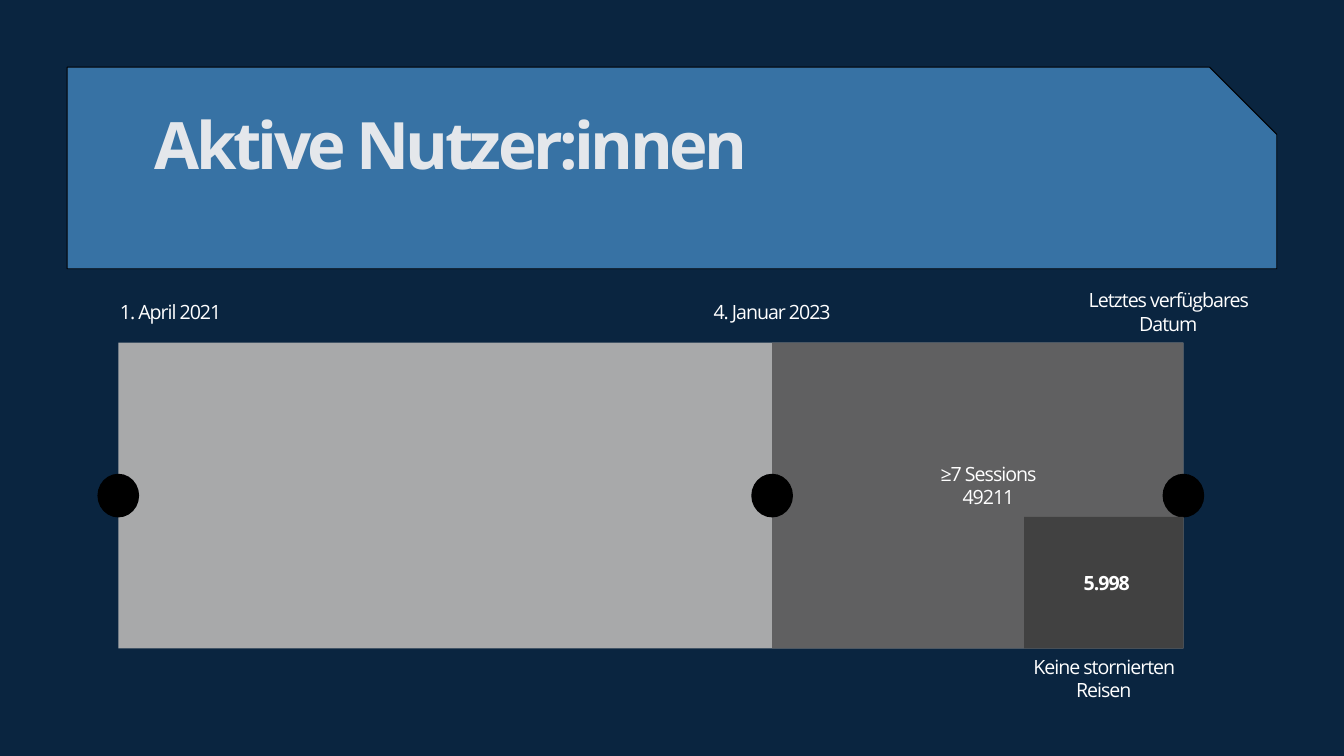
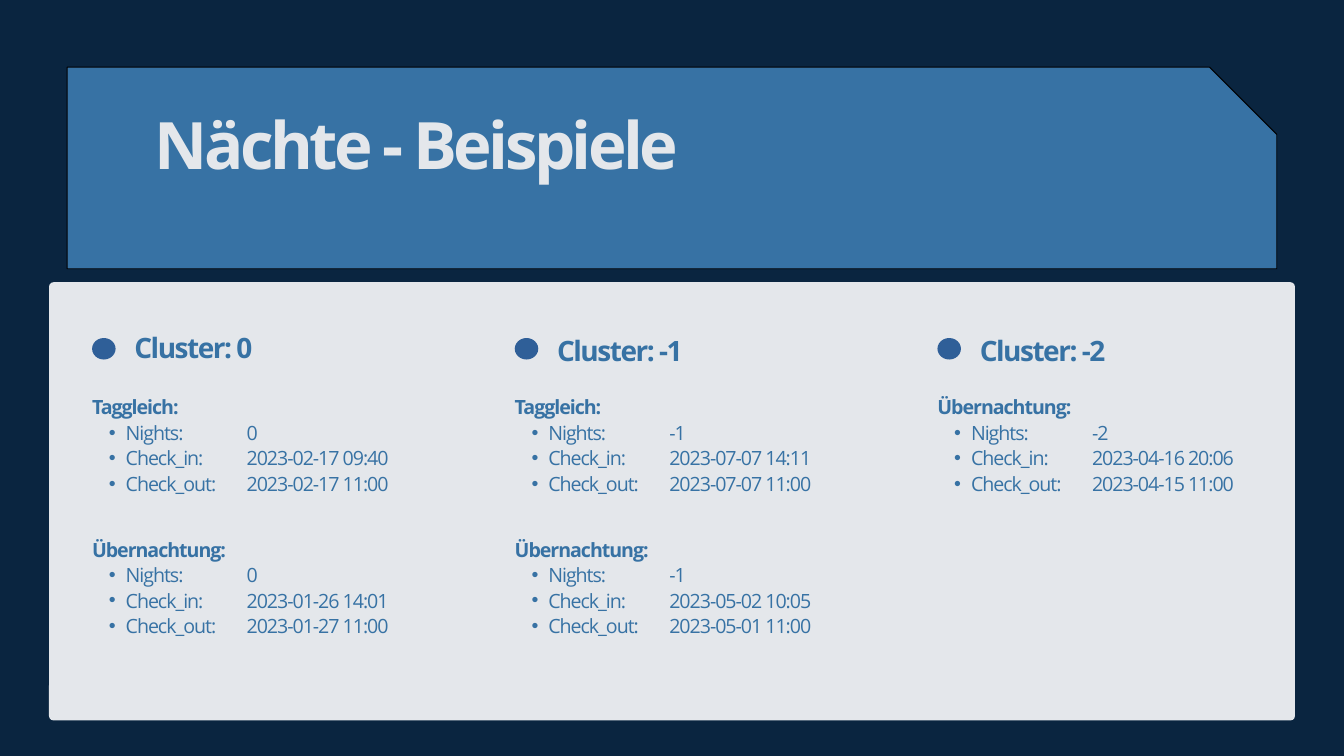
from lxml import etree
from pptx import Presentation
from pptx.dml.color import RGBColor
from pptx.enum.shapes import MSO_SHAPE
from pptx.enum.text import MSO_ANCHOR, MSO_AUTO_SIZE, PP_ALIGN
from pptx.oxml.ns import qn
from pptx.util import Inches, Pt

RECTANGLE, OVAL, ROUNDED = MSO_SHAPE.RECTANGLE, MSO_SHAPE.OVAL, MSO_SHAPE.ROUNDED_RECTANGLE
LEFT, CENTER = PP_ALIGN.LEFT, PP_ALIGN.CENTER
TITLE_ONLY = 5
FONT = "Open Sans"
COLORS = {
    "navy": "0A2540", "blue": "3772A4", "dot": "2F5F98", "pale": "E4E7EB",
    "white": "FFFFFF", "black": "000000", "light": "A8A9AA",
    "medium": "606061", "dark": "414141",
}
STYLES = {
    "title": {"size": 70, "bold": True, "color": "pale", "leading": 66.5, "tracking": -380},
    "label": {"size": 21, "bold": False, "color": "white", "leading": 25.2, "tracking": -110},
    "total": {"size": 21, "bold": True, "color": "white", "leading": 25.2, "tracking": -110},
    "heading": {"size": 30, "bold": True, "color": "blue", "leading": 36, "tracking": -160},
    "group": {"size": 21, "bold": True, "color": "blue", "leading": 27.3, "tracking": -110},
    "detail": {"size": 21, "bold": False, "color": "blue", "leading": 27.3, "tracking": -110},
}
FRAME = {
    "margin_left": 0, "margin_top": 0, "margin_right": 0, "margin_bottom": 0,
    "auto_size": MSO_AUTO_SIZE.NONE, "word_wrap": True, "vertical_anchor": MSO_ANCHOR.TOP,
}
BAND_CORNERS = [
    (0.73, 0.74, 0.55), (18.23, 0.74, 0.25), (19.27, 1.88, 0.22),
    (19.27, 3.67, 0.55), (1.48, 3.67, 0.25), (0.73, 2.85, 0.22),
]
TIMELINE_LEFT, TIMELINE_SPLIT, TIMELINE_RIGHT = 1.76, 11.49, 17.61
TIMELINE_TOP, TIMELINE_BOTTOM = 5.1, 9.65
FIELDS = ["Nights:", "Check_in:", "Check_out:"]
CLUSTERS = [
    ("Cluster: 0", 4.92, [
        ("Taggleich:", ["0", "2023-02-17 09:40", "2023-02-17 11:00"]),
        ("Übernachtung:", ["0", "2023-01-26 14:01", "2023-01-27 11:00"]),
    ]),
    ("Cluster: -1", 4.96, [
        ("Taggleich:", ["-1", "2023-07-07 14:11", "2023-07-07 11:00"]),
        ("Übernachtung:", ["-1", "2023-05-02 10:05", "2023-05-01 11:00"]),
    ]),
    ("Cluster: -2", 4.96, [
        ("Übernachtung:", ["-2", "2023-04-16 20:06", "2023-04-15 11:00"]),
    ]),
]


def rgb(name):
    """Return the named colour."""
    return RGBColor.from_string(COLORS[name])


def paint(shape, fill, line=None):
    """Give a shape a flat fill and an optional thin outline."""
    shape.shadow.inherit = False
    shape.fill.solid()
    shape.fill.fore_color.rgb = rgb(fill)
    if line:
        shape.line.color.rgb = rgb(line)
        shape.line.width = Pt(1)
    else:
        shape.line.fill.background()
    return shape


def add_block(page, kind, left, top, width, height, fill):
    """Add a filled preset shape."""
    lengths = map(Inches, (left, top, width, height))
    return paint(page.shapes.add_shape(kind, *lengths), fill)


def format_frame(frame):
    """Remove the margins and fix the wrapping of a text frame."""
    for name, value in FRAME.items():
        setattr(frame, name, value)


def write_para(para, text, style, align=LEFT):
    """Write one styled line of text."""
    look = STYLES[style]
    para.alignment = align
    para.line_spacing = Pt(look["leading"])
    span = para.add_run()
    span.text = text
    formats = {"name": FONT, "size": Pt(look["size"]), "bold": look["bold"]}
    for name, value in formats.items():
        setattr(span.font, name, value)
    span.font.color.rgb = rgb(look["color"])
    span.font._element.set("spc", str(look["tracking"]))


def add_bullet(para):
    """Turn a paragraph into an indented bullet."""
    para.level = 1
    props = para._p.get_or_add_pPr()
    props.set("marL", str(Inches(0.5)))
    props.set("indent", str(Inches(-0.25)))
    etree.SubElement(props, qn("a:buFont")).set("typeface", "Arial")
    etree.SubElement(props, qn("a:buChar")).set("char", "•")


def add_text(page, left, top, width, height, lines, style, align=LEFT):
    """Add a text box with one paragraph per line."""
    box = page.shapes.add_textbox(*map(Inches, (left, top, width, height)))
    frame = box.text_frame
    format_frame(frame)
    for index, line in enumerate(lines):
        para = frame.add_paragraph() if index else frame.paragraphs[0]
        write_para(para, line, style, align)
    return frame


def toward(start, end, distance):
    """Return the point at a distance from start on the way to end."""
    dx, dy = end[0] - start[0], end[1] - start[1]
    share = distance / (dx * dx + dy * dy) ** 0.5
    return start[0] + dx * share, start[1] + dy * share


def rounded_outline(corners, steps=12):
    """Return outline points of a polygon whose corners are rounded."""
    points = []
    for index, (x, y, trim) in enumerate(corners):
        before = corners[index - 1]
        after = corners[(index + 1) % len(corners)]
        curve = [toward((x, y), goal, trim * share) for goal, share in
                 ((before, 1), (before, 0.45), (after, 0.45), (after, 1))]
        for step in range(steps + 1):
            t = step / steps
            weights = ((1 - t) ** 3, 3 * t * (1 - t) ** 2, 3 * t * t * (1 - t), t ** 3)
            points.append(tuple(
                sum(weight * point[axis] for weight, point in zip(weights, curve))
                for axis in (0, 1)))
    return points


def add_page(deck, title):
    """Add a page with the title on its cut-corner band."""
    page = deck.slides.add_slide(deck.slide_layouts[TITLE_ONLY])
    first, *rest = rounded_outline(BAND_CORNERS)
    builder = page.shapes.build_freeform(*first, scale=Inches(1))
    builder.add_line_segments(rest, close=True)
    paint(builder.convert_to_shape(), "blue", "black")
    heading = page.shapes.title
    heading.element.getparent().append(heading.element)
    place = {"left": 2.3, "top": 1.8, "width": 15.4, "height": 0.98}
    for name, value in place.items():
        setattr(heading, name, Inches(value))
    format_frame(heading.text_frame)
    write_para(heading.text_frame.paragraphs[0], title, "title")
    return page


def add_span(page, left, top, fill):
    """Add a timeline block that ends at the lower right corner."""
    add_block(page, RECTANGLE, left, top, TIMELINE_RIGHT - left, TIMELINE_BOTTOM - top, fill)


def add_marker(page, center):
    """Add a round timeline marker."""
    add_block(page, OVAL, center - 0.31, 7.05, 0.62, 0.65, "black")


def add_group(page, left, top, name, values):
    """Add a named group of bulleted fields and their values."""
    frame = add_text(page, left, top, 2.11, 1.49, [name], "group")
    for field in FIELDS:
        para = frame.add_paragraph()
        write_para(para, field, "detail")
        add_bullet(para)
    add_text(page, left + 2.3, top + 0.38, 2.38, 1.12, values, "detail")


def add_users_page(deck):
    """Build the timeline of active users."""
    page = add_page(deck, "Aktive Nutzer:innen")
    add_span(page, TIMELINE_LEFT, TIMELINE_TOP, "light")
    add_span(page, TIMELINE_SPLIT, TIMELINE_TOP, "medium")
    for center in (TIMELINE_LEFT, TIMELINE_SPLIT, TIMELINE_RIGHT):
        add_marker(page, center)
    add_span(page, 15.24, 7.69, "dark")
    labels = [
        (1.76, 4.47, 1.56, 0.35, ["1. April 2021"], "label"),
        (10.54, 4.47, 1.9, 0.35, ["4. Januar 2023"], "label"),
        (15.75, 4.29, 3.27, 0.7, ["Letztes verfügbares Datum"], "label"),
        (13.83, 6.87, 1.76, 0.7, ["≥7 Sessions", "49211"], "label"),
        (15.59, 8.49, 1.76, 0.35, ["5.998"], "total"),
        (15.24, 9.74, 2.37, 0.7, ["Keine stornierten Reisen"], "label"),
    ]
    for label in labels:
        add_text(page, *label, CENTER)


def add_nights_page(deck):
    """Build the examples of nights in three columns."""
    page = add_page(deck, "Nächte - Beispiele")
    panel = add_block(page, ROUNDED, 0.73, 4.2, 18.54, 6.52, "pale")
    panel.adjustments[0] = 0.01
    for column, (name, heading_top, groups) in enumerate(CLUSTERS):
        left = 1.37 + 6.29 * column
        add_block(page, OVAL, left, 5.03, 0.35, 0.32, "dot")
        add_text(page, left + 0.63, heading_top, 2.02, 0.52, [name], "heading")
        for row, group in enumerate(groups):
            add_group(page, left, 5.85 + 2.12 * row, *group)


def main():
    """Build and save the deck."""
    deck = Presentation()
    deck.slide_width, deck.slide_height = Inches(20), Inches(11.25)
    backdrop = deck.slide_master.background.fill
    backdrop.solid()
    backdrop.fore_color.rgb = rgb("navy")
    add_users_page(deck)
    add_nights_page(deck)
    deck.save("out.pptx")


if __name__ == "__main__":
    main()
